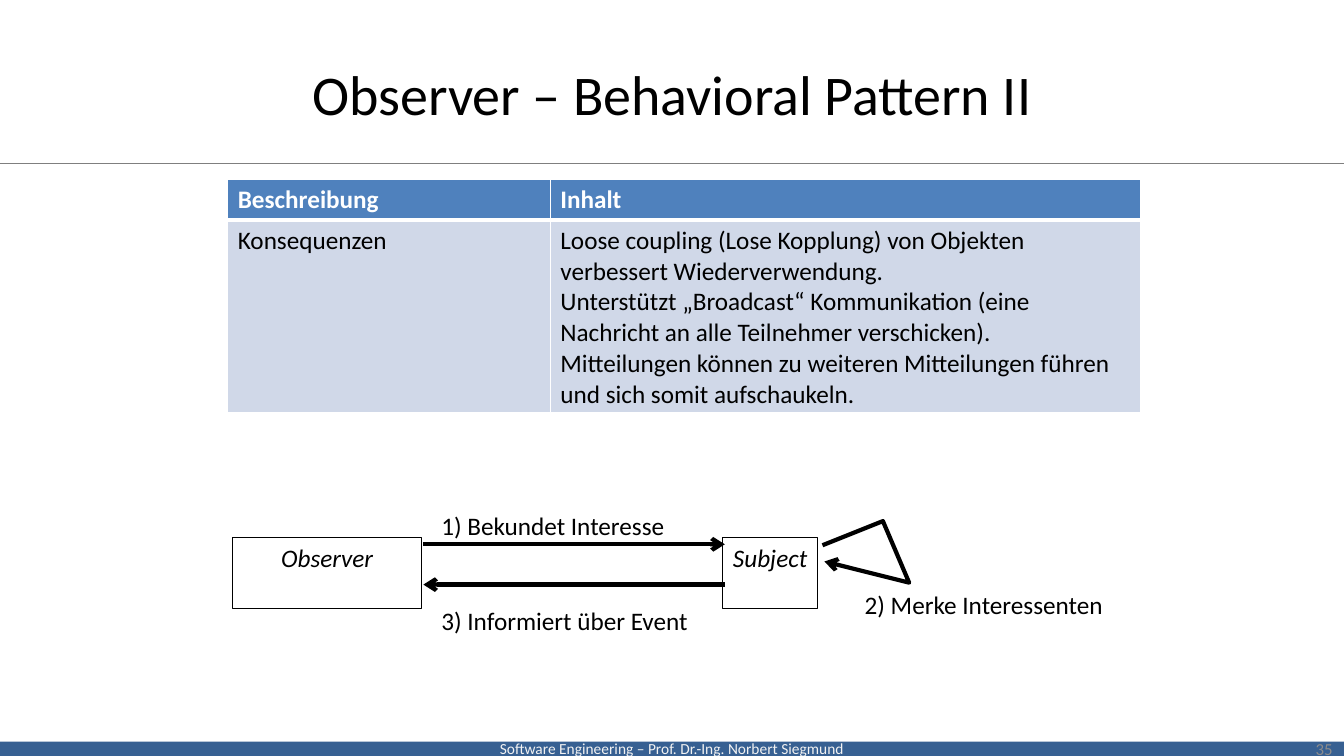
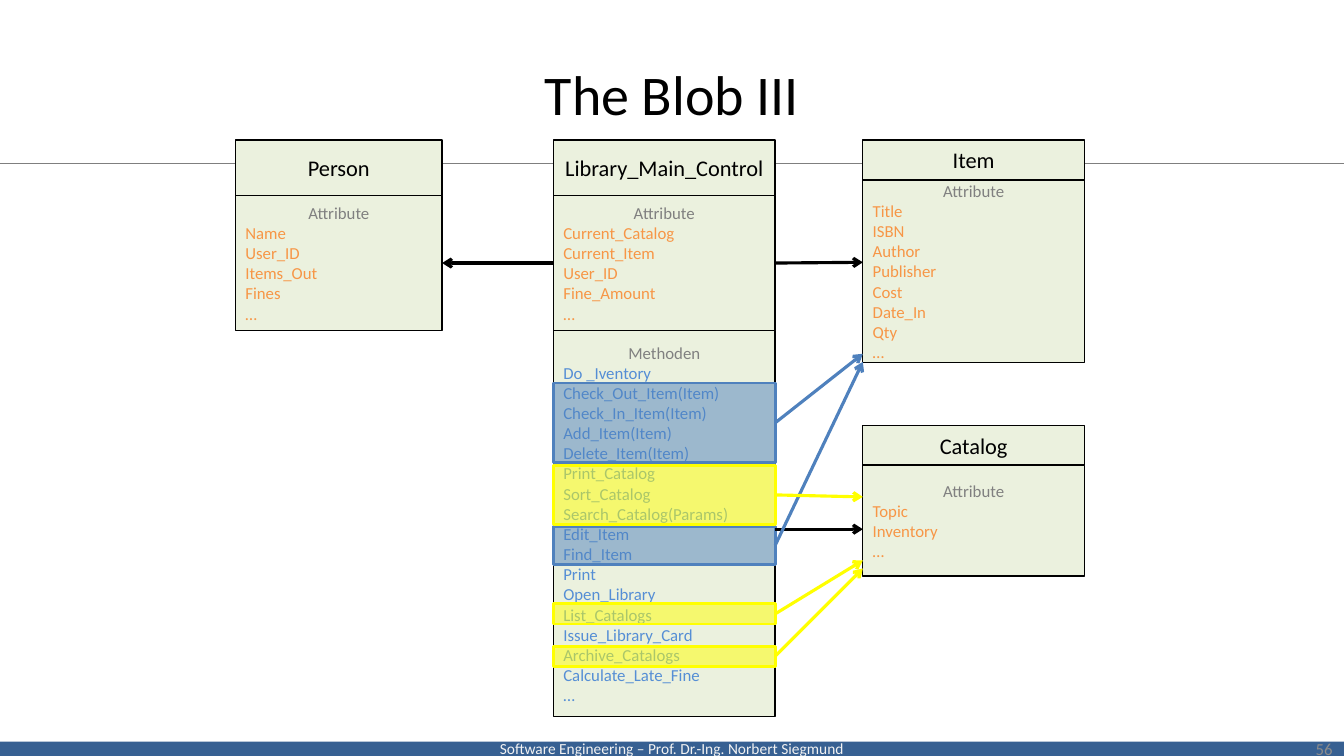
"""Build two software engineering slides: observer consequences and the blob class diagram."""
from lxml.etree import SubElement
from pptx import Presentation
from pptx.dml.color import RGBColor
from pptx.enum.shapes import MSO_CONNECTOR, MSO_SHAPE
from pptx.enum.text import MSO_ANCHOR, PP_ALIGN
from pptx.oxml.ns import qn
from pptx.util import Emu, Inches, Pt

BLACK = RGBColor(0x00, 0x00, 0x00)
WHITE = RGBColor(0xFF, 0xFF, 0xFF)
NAVY = RGBColor(0x37, 0x60, 0x92)
PALE = RGBColor(0xF2, 0xF2, 0xF2)
RULE = RGBColor(0x7F, 0x7F, 0x7F)
NUMBER = RGBColor(0x8C, 0x8C, 0x8C)
BLUE = RGBColor(0x4F, 0x81, 0xBD)
BAND = RGBColor(0xD0, 0xD8, 0xE8)
GREEN = RGBColor(0xEB, 0xF1, 0xDE)
GRAY = RGBColor(0x80, 0x80, 0x80)
ORANGE = RGBColor(0xF7, 0x96, 0x46)
SKY = RGBColor(0x55, 0x8E, 0xD5)
YELLOW = RGBColor(0xFF, 0xFF, 0x00)
FONT = "Calibri"
LEFT, CENTER, RIGHT = PP_ALIGN.LEFT, PP_ALIGN.CENTER, PP_ALIGN.RIGHT
TOP, MIDDLE = MSO_ANCHOR.TOP, MSO_ANCHOR.MIDDLE

prs = Presentation()
prs.slide_width, prs.slide_height = Emu(12192000), Emu(6858000)
COL, ROW = prs.slide_width // 100, prs.slide_height // 100


def box(s, x, y, w, h, text="", size=18, color=BLACK, align=LEFT, anchor=TOP,
        fill=None, edge=None, weight=1, pad=0.75):
    """Add a text box, or a rectangle when a fill or an edge is given."""
    area = [Emu(round(v)) for v in (x * COL, y * ROW, w * COL, h * ROW)]
    if fill is None and edge is None:
        sp = s.shapes.add_textbox(*area)
    else:
        sp = s.shapes.add_shape(MSO_SHAPE.RECTANGLE, *area)
        sp.shadow.inherit = False
        if fill is None:
            sp.fill.background()
        else:
            sp.fill.solid()
            sp.fill.fore_color.rgb = fill
        if edge is None:
            sp.line.fill.background()
        else:
            sp.line.color.rgb = edge
            sp.line.width = Pt(weight)
    tf = sp.text_frame
    tf.word_wrap = True
    tf.vertical_anchor = anchor
    tf.margin_left = tf.margin_right = round(pad * COL)
    tf.text = text
    for p in tf.paragraphs:
        p.alignment = align
        p.font.name, p.font.size, p.font.color.rgb = FONT, Pt(size), color
    return sp


def line(s, points, color, width, head=True):
    """Draw a connector through two points, or an open freeform through more."""
    pts = [(round(x * COL), round(y * ROW)) for x, y in points]
    if len(pts) == 2:
        sp = s.shapes.add_connector(MSO_CONNECTOR.STRAIGHT, *pts[0], *pts[1])
    else:
        builder = s.shapes.build_freeform(*pts[0])
        builder.add_line_segments(pts[1:], close=False)
        sp = builder.convert_to_shape()
        sp.fill.background()
    sp.line.color.rgb = color
    sp.line.width = Pt(width)
    if head:
        SubElement(sp.line._get_or_add_ln(), qn("a:tailEnd"), type="arrow")
    SubElement(sp._element.spPr, qn("a:effectLst"))
    return sp


slides = []
for title, number in (("Observer – Behavioral Pattern II", "35"), ("The Blob III", "56")):
    s = prs.slides.add_slide(prs.slide_layouts[6])
    box(s, 0, 98.1, 100, 1.9, "Software Engineering – Prof. Dr.-Ing. Norbert Siegmund",
        11, PALE, CENTER, MIDDLE, fill=NAVY)
    line(s, [(0, 21.6), (100, 21.6)], RULE, 0.75, head=False)
    box(s, 5, 4, 90, 16.67, title, 40, BLACK, CENTER, MIDDLE)
    box(s, 76.6, 96.4, 23.3, 5.3, number, 12, NUMBER, RIGHT, MIDDLE)
    slides.append(s)
observer, blob = slides

rows = [
    ("Beschreibung", "Inhalt"),
    ("Konsequenzen",
     "Loose coupling (Lose Kopplung) von Objekten verbessert Wiederverwendung.\n"
     "Unterstützt „Broadcast“ Kommunikation (eine Nachricht an alle Teilnehmer verschicken).\n"
     "Mitteilungen können zu weiteren Mitteilungen führen und sich somit aufschaukeln."),
]
widths, heights = (24, 43.95), (5.4, 25.4)
table = observer.shapes.add_table(
    2, 2, round(16.95 * COL), round(23.75 * ROW),
    round(sum(widths) * COL), round(sum(heights) * ROW)).table
table.horz_banding = False
for c, w in enumerate(widths):
    table.columns[c].width = round(w * COL)
for r, texts in enumerate(rows):
    table.rows[r].height = round(heights[r] * ROW)
    for c, text in enumerate(texts):
        cell = table.cell(r, c)
        tcPr = cell._tc.get_or_add_tcPr()
        for side in ("lnL", "lnR", "lnT", "lnB"):
            thick = (r, side) in ((0, "lnB"), (1, "lnT"))
            ln = SubElement(tcPr, qn("a:" + side), w=str(Pt(3 if thick else 1)))
            SubElement(SubElement(ln, qn("a:solidFill")), qn("a:srgbClr"), val=str(WHITE))
        cell.fill.solid()
        cell.fill.fore_color.rgb = BAND if r else BLUE
        cell.text = text
        for p in cell.text_frame.paragraphs:
            p.font.name, p.font.size, p.font.bold = FONT, Pt(18), r == 0
            p.font.color.rgb = BLACK if r else WHITE

for x, w, name in ((17.33, 14.03, "Observer"), (53.78, 7.05, "Subject")):
    sp = box(observer, x, 71.07, w, 9.47, name, align=CENTER, edge=BLACK, weight=0.75, pad=0)
    sp.text_frame.paragraphs[0].font.italic = True
for x, y, text in ((32.1, 79.47, "3) Informiert über Event"),
                   (32.1, 66.8, "1) Bekundet Interesse"),
                   (63.6, 77.33, "2) Merke Interessenten")):
    box(observer, x, y, 21.5, 5.33, text)
for points in ([(53.93, 77.33), (31.5, 77.33)],
               [(31.5, 72), (53.93, 72)],
               [(61.2, 72.13), (65.7, 68.93), (67.65, 77.07), (61.35, 74.27)]):
    line(observer, points, BLACK, 3)

library = "Library_Main_Control"
classes = [
    ("Person", 17.52, 18.53, 15.38, 7.33, 17.87, "Name User_ID Items_Out Fines …"),
    (library, 41.18, 18.53, 16.5, 7.33, 17.87,
     "Current_Catalog Current_Item User_ID Fine_Amount …"),
    ("Item", 64.2, 18.53, 16.5, 5.27, 24.13,
     "Title ISBN Author Publisher Cost Date_In Qty …"),
    ("Catalog", 64.2, 56.27, 16.5, 5.27, 14.67, "Topic Inventory …"),
]
methods = ["Do _Iventory", "Check_Out_Item(Item)", "Check_In_Item(Item)", "Add_Item(Item)",
           "Delete_Item(Item)", "Print_Catalog", "Sort_Catalog", "Search_Catalog(Params)",
           "Edit_Item", "Find_Item", "Print", "Open_Library", "List_Catalogs",
           "Issue_Library_Card", "Archive_Catalogs", "Calculate_Late_Fine", "…"]
parts = []
for name, x, y, w, head, body, members in classes:
    box(blob, x, y, w, head, name, 16, BLACK, CENTER, MIDDLE, GREEN, BLACK, pad=0)
    parts.append((name, x, y + head, w, body, "Attribute", members.split(), ORANGE))
parts.append(("Methods", 41.18, 43.73, 16.5, 51.07, "Methoden", methods, SKY))
bodies = {}
for name, x, y, w, h, heading, members, color in parts:
    sp = box(blob, x, y, w, h, "\n".join([heading] + members), 12, GRAY, CENTER, MIDDLE,
             GREEN, BLACK)
    for p in sp.text_frame.paragraphs[1:]:
        p.alignment = LEFT
        p.font.color.rgb = color
    bodies[name] = sp

marks = []
for y, h, color, target in ((50.67, 10.53, BLUE, 46.8), (69.6, 5.07, BLUE, 47.87),
                            (61.6, 7.73, YELLOW, 65.73), (79.87, 2.67, YELLOW, 74.13),
                            (85.47, 2.67, YELLOW, 75.2)):
    sp = box(blob, 41.18, y, 16.5, h, fill=color, edge=color, weight=2)
    SubElement(sp._element.spPr.find(qn("a:solidFill"))[0], qn("a:alpha"), val="50000")
    marks.append((sp, y + h / 2, color, target))

right = 41.18 + 16.5
to_item = line(blob, [(right, 34.8), (64.2, 34.7)], BLACK, 2.25)
to_item.begin_connect(bodies[library], 3)
line(blob, [(right, 70), (64.2, 70)], BLACK, 2.25)
to_person = line(blob, [(41.18, 34.8), (32.9, 34.8)], BLACK, 2.25)
to_person.begin_connect(bodies[library], 1)
to_person.end_connect(bodies["Person"], 3)
for mark, y, color, target in marks:
    line(blob, [(right, y), (64.2, target)], color, 2.25).begin_connect(mark, 3)

prs.save("out.pptx")
